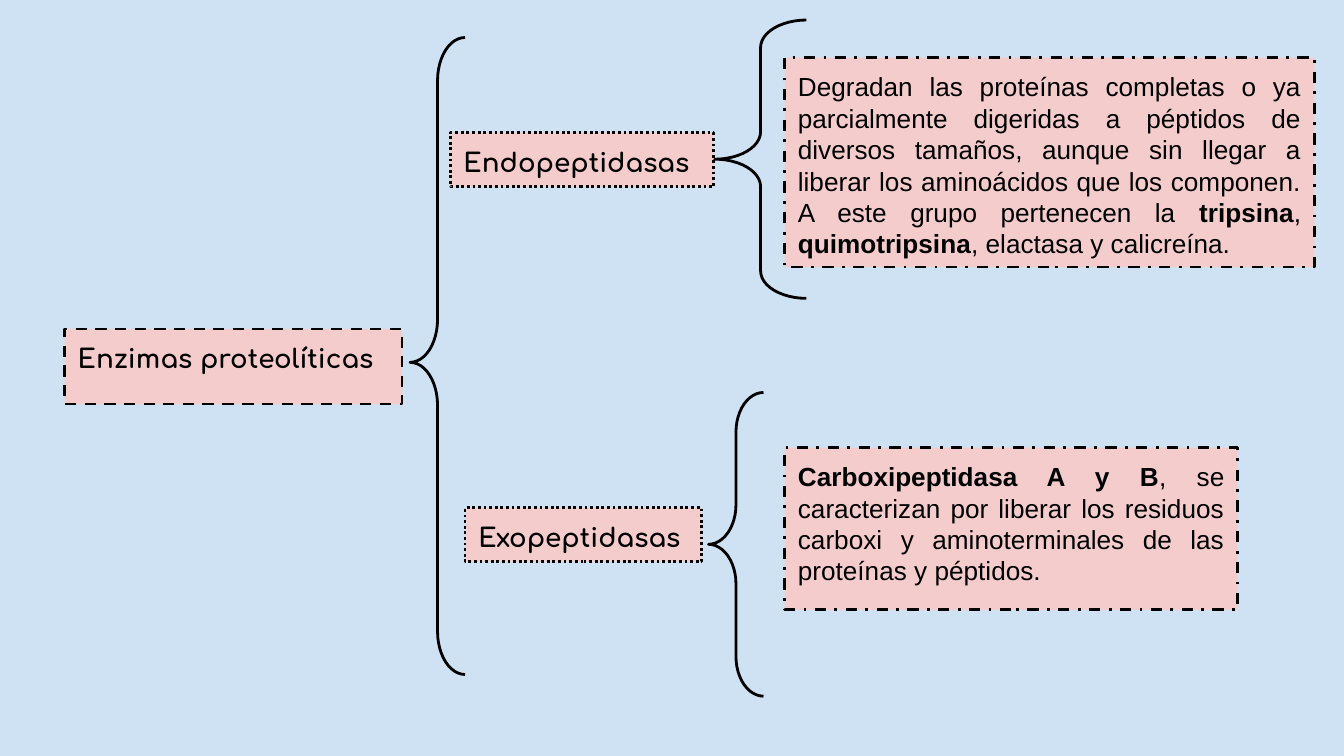
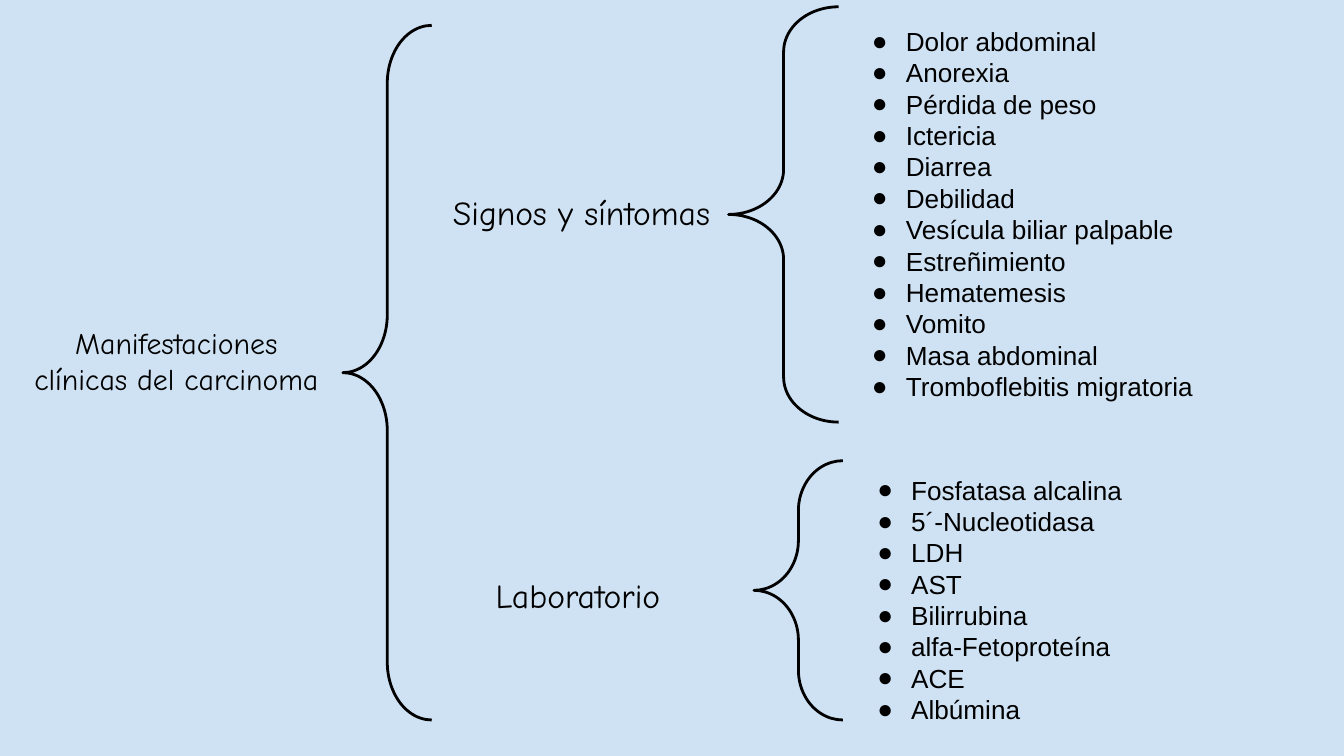
from dataclasses import dataclass

from lxml import etree
from pptx import Presentation, util as u
from pptx.dml.color import RGBColor
from pptx.enum import dml, shapes, text
from pptx.oxml import ns

DASH = dml.MSO_LINE
ALIGN = text.PP_ALIGN


@dataclass(frozen=True)
class Theme:
    back: RGBColor = RGBColor.from_string("CFE2F3")
    pink: RGBColor = RGBColor.from_string("F4CCCC")
    ink: RGBColor = RGBColor.from_string("000000")
    body: str = "Arial"
    round: str = "Comfortaa"
    comic: str = "Comic Neue"
    small: int = 14
    mid: int = 16
    large: int = 18
    line: float = 1.5
    inset: float = 0.25
    left: float = 1.27
    hang: float = 0.64


class Deck:
    def __init__(self, theme):
        self.theme = theme
        self.show = Presentation()
        self.show.slide_width = u.Cm(25.4)
        self.show.slide_height = u.Cm(14.29)
        self.slide = None

    def page(self):
        self.slide = self.show.slides.add_slide(self.show.slide_layouts[6])
        fill = self.slide.background.fill
        fill.solid()
        fill.fore_color.rgb = self.theme.back

    def shape(self, kind, place, dash=None):
        item = self.slide.shapes.add_shape(kind, *map(u.Cm, place))
        item.shadow.inherit = False
        item.line.color.rgb = self.theme.ink
        item.line.width = u.Pt(self.theme.line)
        if dash:
            item.line.dash_style = dash
        return item

    def brace(self, place, curve, point=0.5):
        item = self.shape(shapes.MSO_SHAPE.LEFT_BRACE, place)
        item.fill.background()
        item.adjustments[0] = curve
        item.adjustments[1] = point

    def box(self, place, words, dash, **style):
        item = self.shape(shapes.MSO_SHAPE.RECTANGLE, place, dash)
        item.fill.solid()
        item.fill.fore_color.rgb = self.theme.pink
        self.put_text(item.text_frame, [words], **style)

    def label(self, place, words, **style):
        item = self.slide.shapes.add_textbox(*map(u.Cm, place))
        self.put_text(item.text_frame, [words], **style)

    def dot_list(self, place, lines):
        item = self.slide.shapes.add_textbox(*map(u.Cm, place))
        self.put_text(item.text_frame, lines, dots=True)

    def put_text(self, frame, lines, font=None, size=None, align=ALIGN.LEFT, dots=False):
        pad = u.Cm(self.theme.inset)
        form = {
            "word_wrap": True,
            "vertical_anchor": text.MSO_ANCHOR.TOP,
            "margin_left": pad,
            "margin_top": pad,
            "margin_right": pad,
            "margin_bottom": pad,
        }
        for key, value in form.items():
            setattr(frame, key, value)
        look = {
            "name": font or self.theme.body,
            "size": u.Pt(size or self.theme.small),
        }
        for row, line in enumerate(lines):
            para = frame.paragraphs[0] if row == 0 else frame.add_paragraph()
            para.alignment = align
            if dots:
                self.bullet(para)
            for part, words in enumerate(line.split("*")):
                if not words:
                    continue
                run = para.add_run()
                run.text = words
                for key, value in {**look, "bold": part % 2 == 1}.items():
                    setattr(run.font, key, value)
                run.font.color.rgb = self.theme.ink

    def bullet(self, para):
        props = para._p.get_or_add_pPr()
        props.set("marL", str(u.Cm(self.theme.left)))
        props.set("indent", str(-u.Cm(self.theme.hang)))
        face = etree.SubElement(props, ns.qn("a:buFont"))
        face.set("typeface", self.theme.body)
        etree.SubElement(props, ns.qn("a:buChar")).set("char", "●")


def enzymes(deck):
    deck.page()
    names = [
        ((1.22, 6.22, 6.38, 1.42), "*Enzimas proteolíticas*", DASH.DASH),
        ((8.51, 2.51, 4.98, 1.02), "*Endopeptidasas*", DASH.ROUND_DOT),
        ((8.79, 9.6, 4.47, 1.02), "*Exopeptidasas*", DASH.ROUND_DOT),
    ]
    for place, words, dash in names:
        deck.box(place, words, dash, font=deck.theme.round)
    deck.brace((7.75, 0.71, 1.04, 12.04), 0.78, 0.51)
    deck.brace((13.51, 0.38, 1.73, 5.26), 0.3, 0.5)
    deck.brace((13.39, 7.42, 1.04, 5.74), 0.72)
    notes = [
        ((14.83, 1.09, 10.01, 3.96),
         "Degradan las proteínas completas o ya parcialmente digeridas a péptidos "
         "de diversos tamaños, aunque sin llegar a liberar los aminoácidos que los "
         "componen. A este grupo pertenecen la *tripsina*, *quimotripsina*, "
         "elactasa y calicreína."),
        ((14.83, 8.46, 8.56, 3.07),
         "*Carboxipeptidasa A y B*, se caracterizan por liberar los residuos "
         "carboxi y aminoterminales de las proteínas y péptidos."),
    ]
    for place, words in notes:
        deck.box(place, words, DASH.DASH_DOT, align=ALIGN.JUSTIFY)


def signs(deck):
    deck.page()
    theme = deck.theme
    deck.label((0.2, 5.89, 6.27, 1.55), "Manifestaciones clínicas del carcinoma",
               font=theme.comic, size=theme.mid, align=ALIGN.CENTER)
    deck.brace((6.48, 0.48, 1.68, 13.13), 0.65)
    groups = [
        ("Signos y síntomas", (8.31, 3.38, 5.46, 1.32),
         (13.77, 0.13, 2.08, 7.85), 0.41, (15.6, 0.23, 7.52, 7.65),
         ["Dolor abdominal", "Anorexia", "Pérdida de peso", "Ictericia",
          "Diarrea", "Debilidad", "Vesícula biliar palpable", "Estreñimiento",
          "Hematemesis", "Vomito", "Masa abdominal",
          "Tromboflebitis migratoria"]),
        ("Laboratorio", (9.12, 10.62, 4.17, 1.07),
         (14.25, 8.71, 1.68, 4.9), 0.56, (15.7, 8.71, 7.29, 5.13),
         ["Fosfatasa alcalina", "5´-Nucleotidasa", "LDH", "AST", "Bilirrubina",
          "alfa-Fetoproteína", "ACE", "Albúmina"]),
    ]
    for name, spot, brace, curve, place, lines in groups:
        deck.label(spot, name, font=theme.comic, size=theme.large)
        deck.brace(brace, curve)
        deck.dot_list(place, lines)


def main():
    deck = Deck(Theme())
    enzymes(deck)
    signs(deck)
    deck.show.save("out.pptx")


if __name__ == "__main__":
    main()
